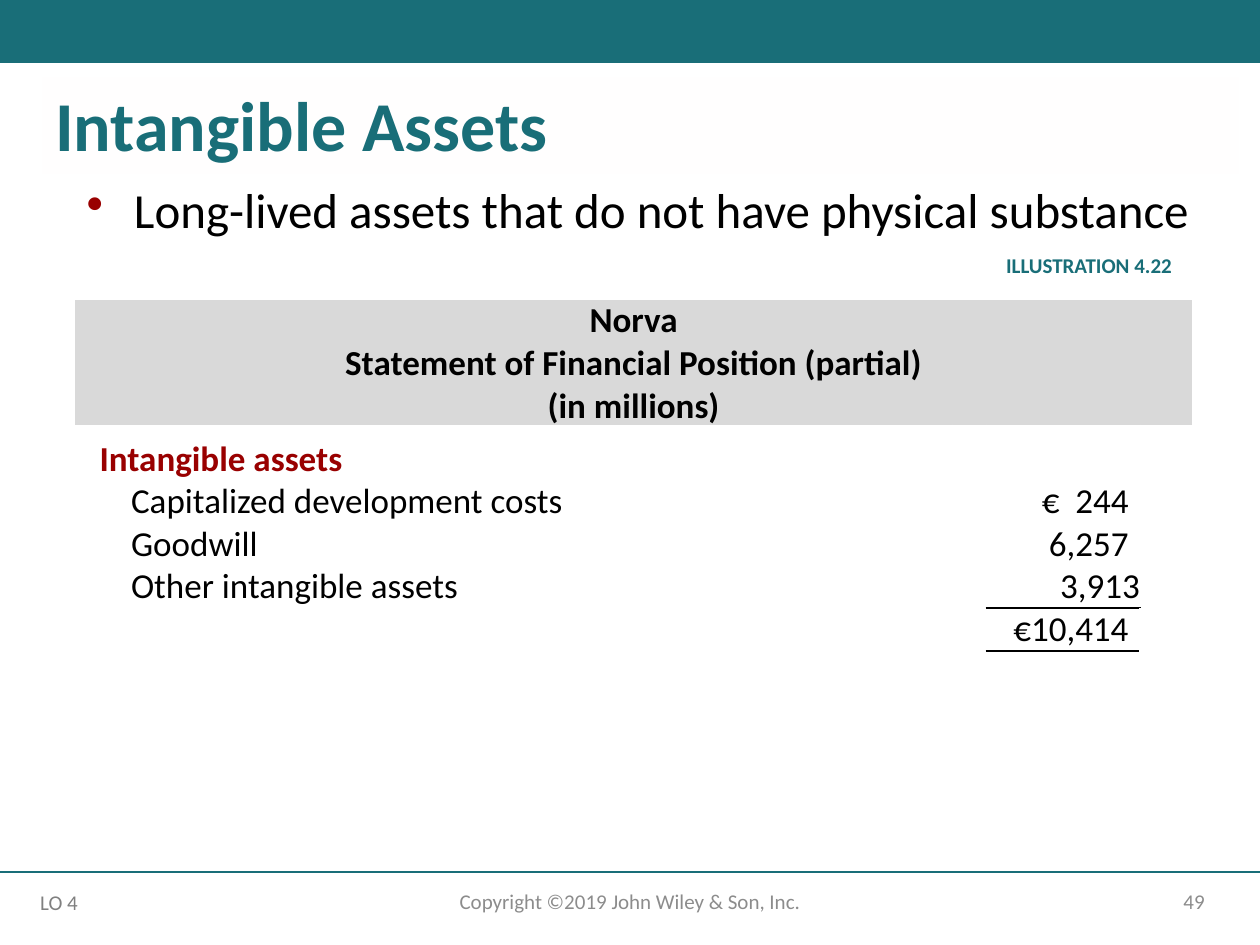
"""Build the Intangible Assets slide with its partial statement table."""
from lxml.etree import SubElement
from pptx import Presentation
from pptx.dml.color import RGBColor
from pptx.enum.shapes import MSO_CONNECTOR, MSO_SHAPE
from pptx.enum.text import MSO_ANCHOR, PP_ALIGN
from pptx.oxml.ns import qn
from pptx.util import Pt

TEAL, RED, GREY, BLACK, WHITE = "196E78", "990000", "8C8C8C", "000000", "FFFFFF"
LEFT, CENTER, RIGHT = PP_ALIGN.LEFT, PP_ALIGN.CENTER, PP_ALIGN.RIGHT
TOP, MIDDLE, BOTTOM = MSO_ANCHOR.TOP, MSO_ANCHOR.MIDDLE, MSO_ANCHOR.BOTTOM
rgb = RGBColor.from_string


def write(tf, text, size=20, color=BLACK, bold=False, align=LEFT, anchor=TOP,
          spacing=None, indent=0, hanging=0, bullet=None, margins=(7.2, 3.6, 7.2, 3.6)):
    tf.word_wrap = True
    tf.vertical_anchor = anchor
    tf.margin_left, tf.margin_top, tf.margin_right, tf.margin_bottom = map(Pt, margins)
    for i, line in enumerate(text.split("\n")):
        p = tf.add_paragraph() if i else tf.paragraphs[0]
        p.alignment = align
        if spacing:
            p.line_spacing = spacing
        pPr = p._p.get_or_add_pPr()
        pPr.set("marL", str(Pt(indent)))
        pPr.set("indent", str(Pt(-hanging)))
        if bullet:
            SubElement(SubElement(pPr, qn("a:buClr")), qn("a:srgbClr")).set("val", bullet)
            SubElement(pPr, qn("a:buChar")).set("char", "•")
        r = p.add_run()
        r.text = line
        r.font.name, r.font.size, r.font.bold = "Calibri", Pt(size), bold
        r.font.color.rgb = rgb(color)


def set_border(cell, side, color, width):
    ln = SubElement(cell._tc.get_or_add_tcPr(), qn(f"a:ln{side}"), w=str(Pt(width)))
    SubElement(SubElement(ln, qn("a:solidFill")), qn("a:srgbClr")).set("val", color)


prs = Presentation()
prs.slide_width, prs.slide_height = Pt(720), Pt(540)
s = prs.slides.add_slide(prs.slide_layouts[6])

bars = [
    (0, 0, 720, 36, TEAL, "", {}),
    (24.5, 44.6, 683.3, 54.7, "FFFEFE", "Intangible Assets",
     dict(size=40, color=TEAL, bold=True, spacing=0.9, margins=(7.2, 7.2, 7.2, 3.6))),
    (558, 142.6, 118.8, 20.2, WHITE, "ILLUSTRATION 4.22",
     dict(size=12, color=TEAL, bold=True, spacing=0.9, align=RIGHT)),
]
for x, y, w, h, fill, text, fmt in bars:
    sp = s.shapes.add_shape(MSO_SHAPE.RECTANGLE, Pt(x), Pt(y), Pt(w), Pt(h))
    sp.shadow.inherit = False
    sp.fill.solid()
    sp.fill.fore_color.rgb = rgb(fill)
    sp.line.fill.background()
    if text:
        write(sp.text_frame, text, **fmt)

cxn = s.shapes.add_connector(MSO_CONNECTOR.STRAIGHT, 0, Pt(498.2), Pt(720), Pt(498.2))
cxn.line.color.rgb = rgb(TEAL)
cxn.line.width = Pt(1)
SubElement(cxn._element.spPr, qn("a:effectLst"))

footer = dict(size=12, color=GREY, anchor=MIDDLE)
boxes = [
    (24.5, 103, 671.8, 41.8, "Long-lived assets that do not have physical substance",
     dict(size=28, spacing=0.9, indent=45, hanging=27, bullet=RED)),
    (18, 504.7, 38.2, 21.6, "LO 4",
     dict(size=12, color="808080", indent=5, margins=(0, 3.6, 0, 3.6))),
    (238.3, 500.4, 243.4, 28.8, "Copyright ©2019 John Wiley & Son, Inc.",
     dict(footer, align=CENTER)),
    (508.3, 500.4, 187.2, 28.8, "49", dict(footer, align=RIGHT)),
]
for x, y, w, h, text, fmt in boxes:
    write(s.shapes.add_textbox(Pt(x), Pt(y), Pt(w), Pt(h)).text_frame, text, **fmt)

rows = [
    ("Norva\nStatement of Financial Position (partial)\n(in millions)", ""),
    ("Intangible assets", ""),
    ("Capitalized development costs", "€  244"),
    ("Goodwill", "6,257"),
    ("Other intangible assets", "3,913"),
    ("", "€10,414"),
    ("", ""),
]
widths = [501.8, 19.4, 87.8, 30.2]
heights = [72, 31.4] + [24.4] * 5
tbl = s.shapes.add_table(len(rows), len(widths), Pt(42.5), Pt(171),
                         Pt(sum(widths)), Pt(sum(heights))).table
tbl.first_row = tbl.horz_banding = False
for col, w in zip(tbl.columns, widths):
    col.width = Pt(w)
for row, h in zip(tbl.rows, heights):
    row.height = Pt(h)

ruled = {(4, "B"), (5, "T"), (5, "B"), (6, "T")}
for i, row in enumerate(tbl.rows):
    for j, cell in enumerate(row.cells):
        cell.margin_left = cell.margin_top = cell.margin_right = cell.margin_bottom = 0
        for side in "LRTB":
            black = j == 2 and (i, side) in ruled
            set_border(cell, side, BLACK if black else WHITE, 1.5 if black else 1)
        cell.fill.background()

tbl.cell(0, 0).merge(tbl.cell(0, 3))
tbl.cell(0, 0).fill.solid()
tbl.cell(0, 0).fill.fore_color.rgb = rgb("D9D9D9")
for i, (label, amount) in enumerate(rows):
    if i == 0:
        fmt = dict(bold=True, align=CENTER, margins=(0, 0, 0, 0))
    elif i == 1:
        fmt = dict(bold=True, color=RED, margins=(14.4, 7.2, 0, 0))
    else:
        fmt = dict(indent=18, margins=(14.4, 0, 0, 0))
    pad = 0 if amount == "3,913" else 6.5
    cells = [(0, label, fmt), (2, amount, dict(align=RIGHT, margins=(0, 0, pad, 0)))]
    for j, text, fmt in cells:
        if text:
            cell = tbl.cell(i, j)
            write(cell.text_frame, text, **fmt)
            cell.vertical_anchor = BOTTOM
            (cell.margin_left, cell.margin_top,
             cell.margin_right, cell.margin_bottom) = map(Pt, fmt["margins"])

prs.save("out.pptx")
